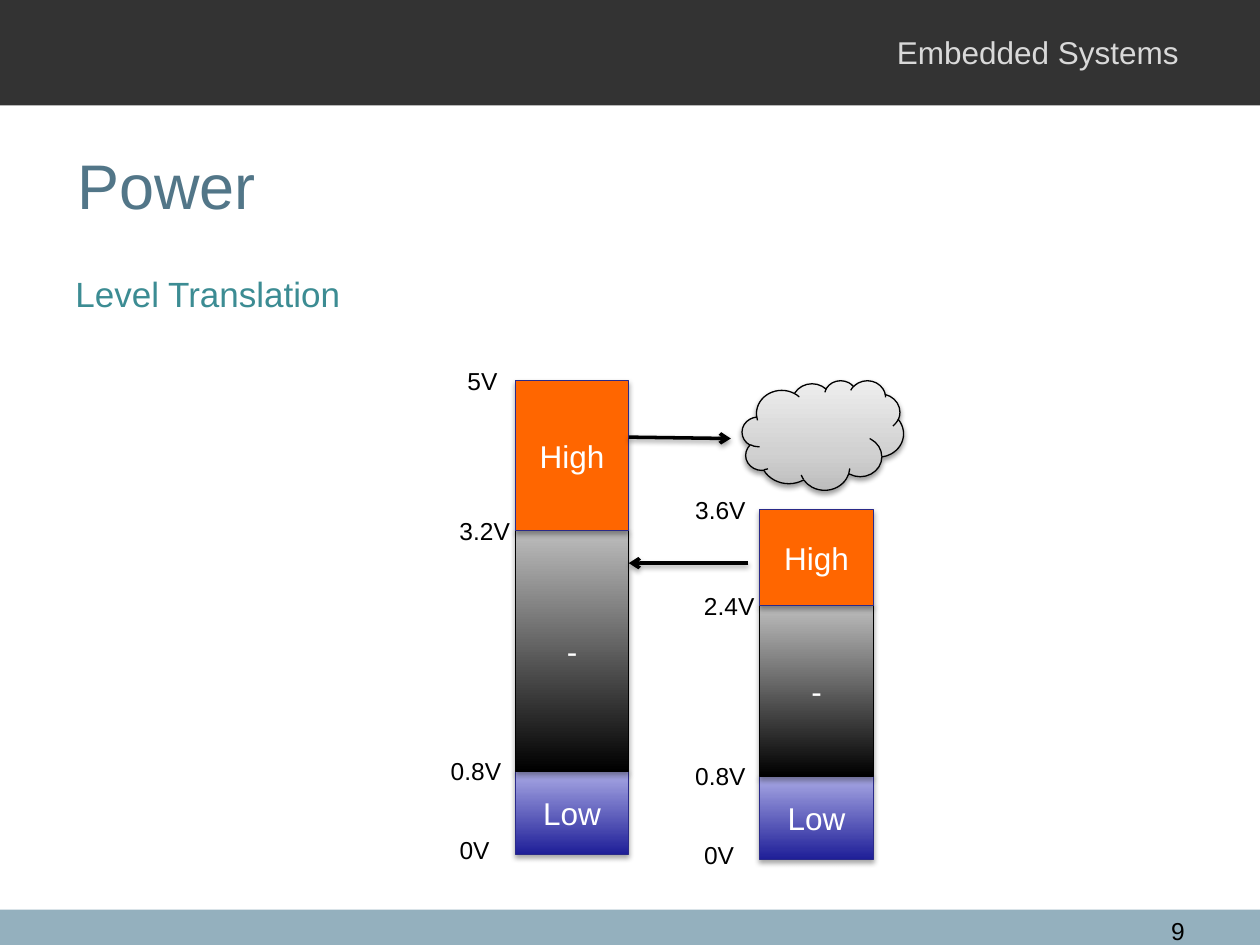
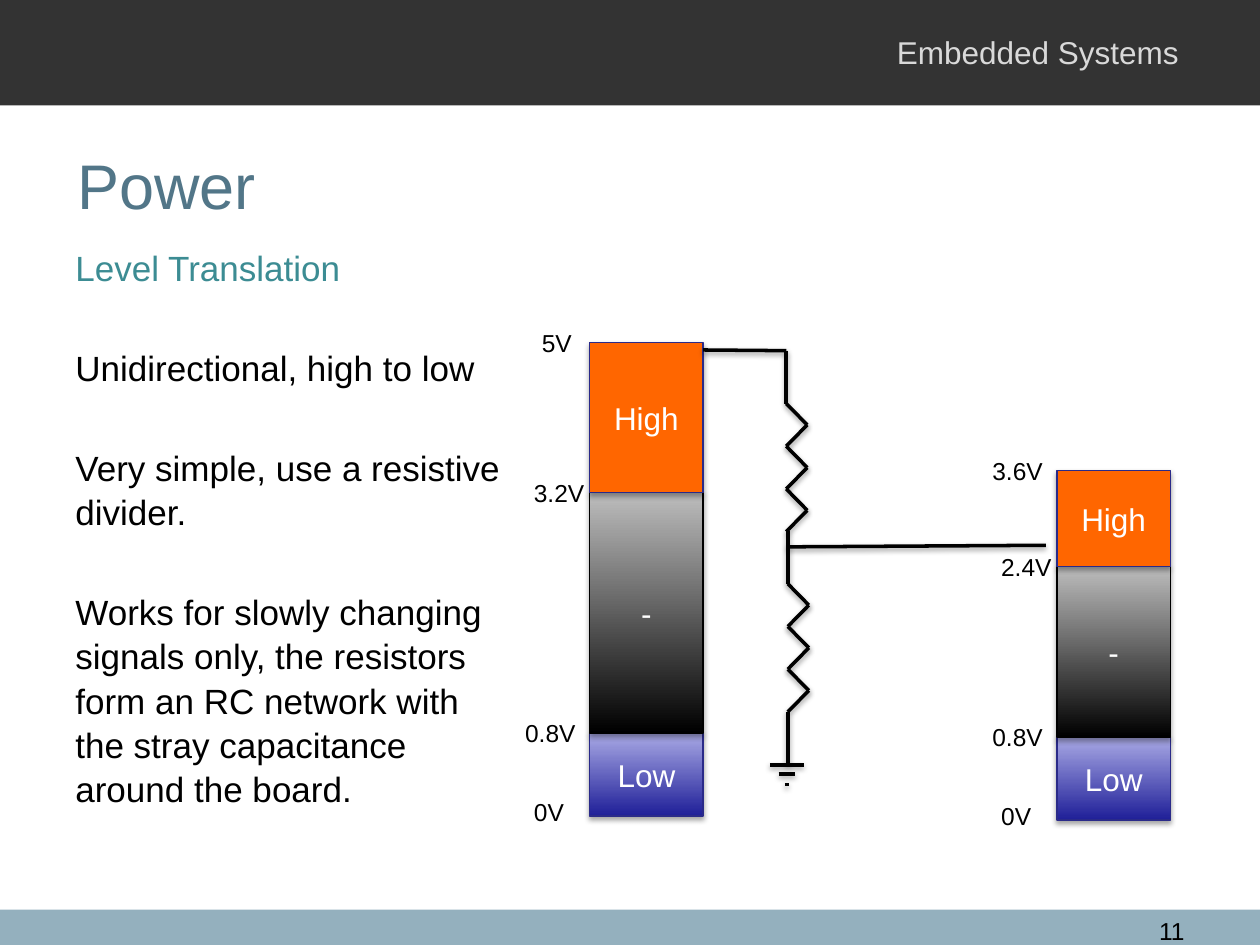
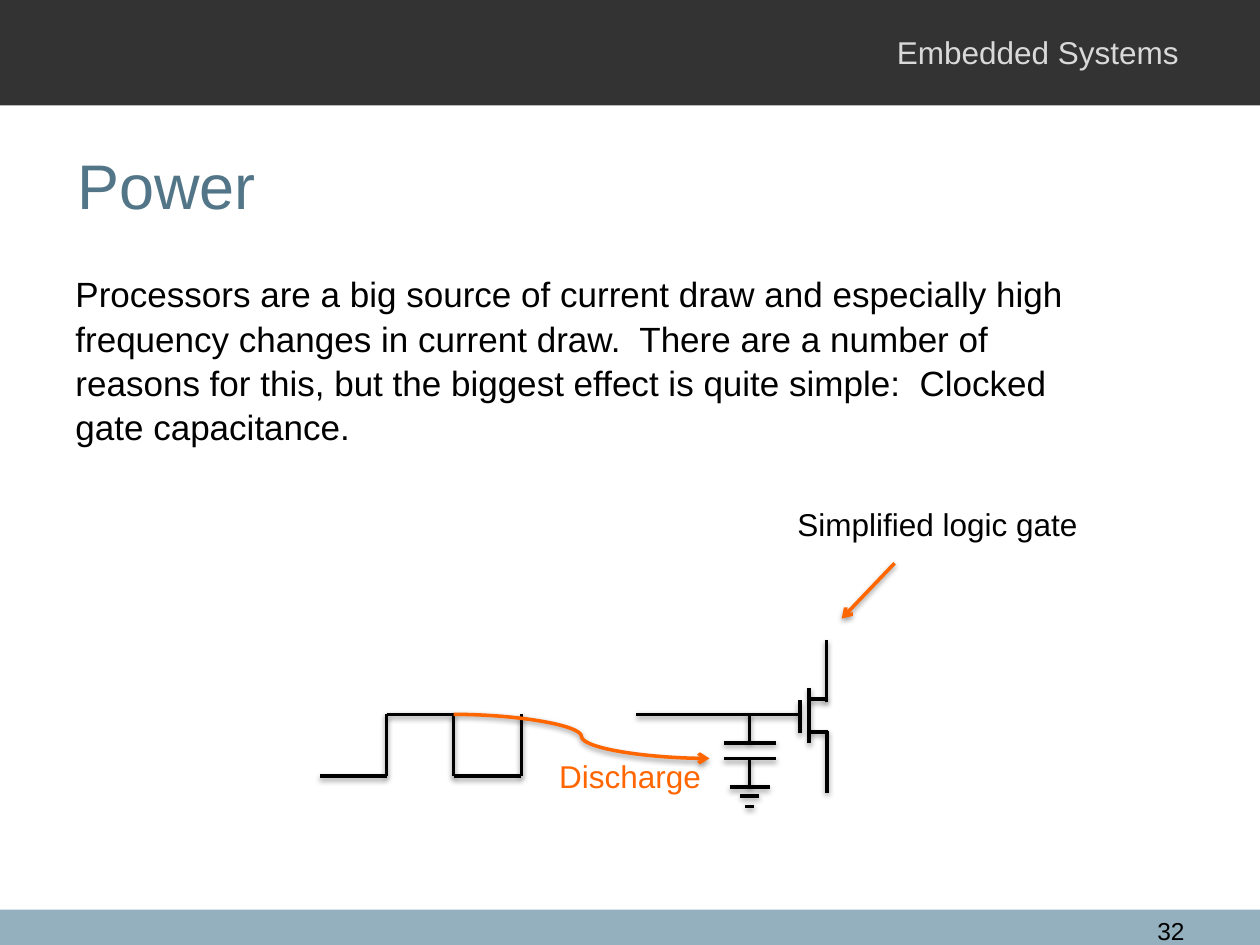
from itertools import pairwise

from lxml import etree
from pptx import Presentation
from pptx.dml.color import RGBColor
from pptx.enum.shapes import MSO_CONNECTOR as Link, MSO_SHAPE as Preset
from pptx.enum.text import MSO_ANCHOR as Anchor, MSO_AUTO_SIZE as Fit, PP_ALIGN as Align
from pptx.oxml.ns import qn
from pptx.util import Pt

FONT = "Arial"
BLACK, WHITE, ORANGE = "000000", "FFFFFF", "FF6600"
HEADER, FOOTER, HEADER_TEXT = "333333", "94B0BE", "D9D9D9"
TITLE, TEAL, NAVY = "527688", "3C8C93", "2A2A89"
WIDTH, HEIGHT = 720, 540

LEVEL_FILLS = {
    "High": ([(0, ORANGE)], NAVY),
    "-": ([(0, BLACK), (100, "BDBDBD")], BLACK),
    "Low": ([(0, "1F1F98"), (100, "A9A9E5")], NAVY),
}
CLOUD_FILL = [(0, "BDBDBD"), (35, "D1D1D1"), (100, "EEEEEE")]
LEVEL_WIDTH = 64.8
LABEL_LIFT = 12

FIVE_VOLT = {
    "levels": [("High", 85.7), ("-", 137.5), ("Low", 47.5)],
    "labels": [("5V", 34.5, 32.4), ("3.2V", 39, 44), ("0.8V", 44, 44), ("0V", 39, 32.4)],
}
LOW_VOLT = {
    "levels": [("High", 55), ("-", 97.4), ("Low", 47.5)],
    "labels": [("3.6V", 44, 44), ("2.4V", 39, 44), ("0.8V", 44, 44), ("0V", 39, 32.4)],
}

TRANSLATION_SLIDE = {
    "number": "9",
    "body": (36, 151.2, 318, 36),
    "paragraphs": [("Level Translation", TEAL)],
    "stacks": [(FIVE_VOLT, 294.5, 217.5), (LOW_VOLT, 434.2, 291.1)],
    "clouds": [(424.1, 217.4, 92.2, 62.6)],
    "arrows": [
        (Link.STRAIGHT, (359.3, 249.8), (417.6, 250.6), BLACK),
        (Link.STRAIGHT, (427.7, 321.8), (359.3, 321.8), BLACK),
    ],
}
DIVIDER_SLIDE = {
    "number": "11",
    "body": (36, 136.1, 266.4, 341.3),
    "paragraphs": [
        ("Level Translation", TEAL),
        ("Unidirectional, high to low", BLACK),
        ("Very simple, use a resistive divider.", BLACK),
        ("Works for slowly changing signals only, the resistors form an RC network "
         "with the stray capacitance around the board.", BLACK),
    ],
    "stacks": [(FIVE_VOLT, 337, 195.7), (LOW_VOLT, 604, 268.8)],
    "wires": [
        [(401.8, 200), (449.3, 200.4)],
        [(450.2, 406.8), (450.2, 437)],
        [(449.3, 312.5), (597.6, 311.6)],
    ],
    "resistors": [(449.3, 200.4), (450.2, 303.4)],
    "grounds": [(449.6, 437.2, (9.7, 4.7, 1.1))],
}
GATE_SLIDE = {
    "number": "32",
    "body": (36, 151.2, 589.7, 114.5),
    "paragraphs": [
        ("Processors are a big source of current draw and especially high frequency "
         "changes in current draw.  There are a number of reasons for this, but the "
         "biggest effect is quite simple:  Clocked gate capacitance.", BLACK),
    ],
    "wires": [
        [(182.9, 443.5), (221, 443.5), (221, 408.2), (259.2, 408.2),
         (259.2, 443.5), (298, 443.5), (298, 408.2)],
        [(363.6, 408.2), (456.5, 408.2)],
        [(413.6, 424.6), (443.5, 424.6)],
        [(413.6, 433.4), (443.5, 433.4)],
        [(428.4, 424.6), (428.4, 408.2)],
        [(428.4, 450), (428.4, 433.4)],
        [(462.4, 424.8), (462.4, 393.1)],
        [(472.2, 401), (472.2, 365.8)],
        [(472.5, 452.9), (472.5, 417.6)],
        [(462.4, 418.2), (473, 418.2)],
        [(462.4, 399.5), (473, 399.5)],
        [(457.2, 419), (457.2, 400.3)],
    ],
    "grounds": [(428.4, 449.8, (11.5, 5.4, 2.5))],
    "arrows": [
        (Link.CURVE, (259.2, 408.2), (405.4, 433.4), ORANGE),
        (Link.STRAIGHT, (511.2, 321.8), (481, 353.5), ORANGE),
    ],
    "notes": [
        ("Discharge", (312.5, 429.1, 96.5, 28.8), ORANGE),
        ("Simplified logic gate", (448.6, 285.1, 176.4, 28.8), BLACK),
    ],
}
SLIDES = [TRANSLATION_SLIDE, DIVIDER_SLIDE, GATE_SLIDE]


def colour(code):
    return RGBColor.from_string(code)


def add_node(parent, tag, **attributes):
    return etree.SubElement(parent, qn(tag), {key: str(value) for key, value in attributes.items()})


def style_text(paragraph, size, code):
    for span in paragraph.runs:
        span.font.name, span.font.size = FONT, Pt(size)
        span.font.color.rgb = colour(code)


def add_text(page, text, place, size, code, align=Align.LEFT, anchor=Anchor.TOP, wrap=True):
    box = page.shapes.add_textbox(*map(Pt, place))
    frame = box.text_frame
    frame.word_wrap, frame.vertical_anchor = wrap, anchor
    if not wrap:
        frame.auto_size = Fit.SHAPE_TO_FIT_TEXT
    frame.text = text
    frame.paragraphs[0].alignment = align
    style_text(frame.paragraphs[0], size, code)


def add_shadow(item, alpha, distance):
    effects = add_node(item._element.spPr, "a:effectLst")
    shadow = add_node(effects, "a:outerShdw", blurRad=Pt(3.1), dist=Pt(distance),
                      dir=90 * 60000, rotWithShape=0)
    add_node(add_node(shadow, "a:srgbClr", val=BLACK), "a:alpha", val=alpha * 1000)


def fill_shape(shape, stops):
    if len(stops) == 1:
        shape.fill.solid()
        shape.fill.fore_color.rgb = colour(stops[0][1])
        return
    shape.fill.gradient()
    shape.fill.gradient_angle = 90
    stop_list = shape._element.spPr.find(".//" + qn("a:gsLst"))
    for stop in list(stop_list):
        stop_list.remove(stop)
    for position, code in stops:
        add_node(add_node(stop_list, "a:gs", pos=position * 1000), "a:srgbClr", val=code)


def add_outlined(page, preset, place, stops, outline, alpha, distance):
    shape = page.shapes.add_shape(preset, *map(Pt, place))
    fill_shape(shape, stops)
    shape.line.color.rgb, shape.line.width = colour(outline), Pt(0.75)
    add_shadow(shape, alpha, distance)
    return shape


def add_band(page, top, height, code):
    band = page.shapes.add_shape(Preset.RECTANGLE, 0, Pt(top), Pt(WIDTH), Pt(height))
    fill_shape(band, [(0, code)])
    band.line.fill.background()
    band.shadow.inherit = False


def add_line(page, start, end, code=BLACK, kind=Link.STRAIGHT, arrow=False):
    line = page.shapes.add_connector(kind, *map(Pt, start + end))
    line.line.color.rgb, line.line.width = colour(code), Pt(2)
    if arrow:
        add_node(line.line._get_or_add_ln(), "a:tailEnd", type="arrow")
    add_shadow(line, 38, 1.6)


def add_wire(page, points):
    for start, end in pairwise(points):
        add_line(page, start, end)


def add_resistor(page, x, top, lead=30.2, step=12.2, depth=12):
    zigzag = [(x + depth * (turn % 2), top + lead + turn * step) for turn in range(7)]
    add_wire(page, [(x, top)] + zigzag)


def add_ground(page, x, top, half_widths):
    for half, drop in zip(half_widths, (0, 5, 11)):
        add_line(page, (x - half, top + drop), (x + half, top + drop))


def add_stack(page, stack, left, top):
    edges = [top]
    for name, height in stack["levels"]:
        edges.append(edges[-1] + height)
    for (name, height), edge in reversed(list(zip(stack["levels"], edges))):
        stops, outline = LEVEL_FILLS[name]
        level = add_outlined(page, Preset.RECTANGLE, (left, edge, LEVEL_WIDTH, height),
                             stops, outline, 35, 1.8)
        frame = level.text_frame
        frame.text, frame.vertical_anchor = name, Anchor.MIDDLE
        frame.paragraphs[0].alignment = Align.CENTER
        style_text(frame.paragraphs[0], 18, WHITE)
    for (text, offset, width), edge in zip(stack["labels"], edges):
        lift = LABEL_LIFT + 2.5 * (text == "0V")
        add_text(page, text, (left - offset, edge - lift, width, 24.2), 14, BLACK, wrap=False)


def add_body(page, place, paragraphs):
    frame = page.shapes.add_textbox(*map(Pt, place)).text_frame
    frame.word_wrap = True
    for index, (text, code) in enumerate(paragraphs):
        para = frame.add_paragraph() if index else frame.paragraphs[0]
        para.text, para.line_spacing = text, 1.05
        para.space_before = Pt(32 if index else 0)
        style_text(para, 20, code)


def build_page(deck, content):
    page = deck.slides.add_slide(deck.slide_layouts[6])
    add_band(page, 519.8, HEIGHT - 519.8, FOOTER)
    add_band(page, 0, 60.2, HEADER)
    add_text(page, "Embedded Systems", (505.4, 15.1, 180, 28.8), 18, HEADER_TEXT)
    add_text(page, "Power", (37, 60.5, 648, 90), 36, TITLE, anchor=Anchor.MIDDLE)
    add_body(page, content["body"], content["paragraphs"])
    add_text(page, content["number"], (638, 519.8, 46, 17.3), 14, BLACK, align=Align.RIGHT)
    for stack in content.get("stacks", []):
        add_stack(page, *stack)
    for place in content.get("clouds", []):
        add_outlined(page, Preset.CLOUD, place, CLOUD_FILL, BLACK, 38, 1.6)
    for points in content.get("wires", []):
        add_wire(page, points)
    for resistor in content.get("resistors", []):
        add_resistor(page, *resistor)
    for ground in content.get("grounds", []):
        add_ground(page, *ground)
    for kind, start, end, code in content.get("arrows", []):
        add_line(page, start, end, code, kind, arrow=True)
    for text, place, code in content.get("notes", []):
        add_text(page, text, place, 18, code, wrap=False)


def main():
    deck = Presentation()
    deck.slide_width, deck.slide_height = Pt(WIDTH), Pt(HEIGHT)
    for content in SLIDES:
        build_page(deck, content)
    deck.save("out.pptx")


if __name__ == "__main__":
    main()
